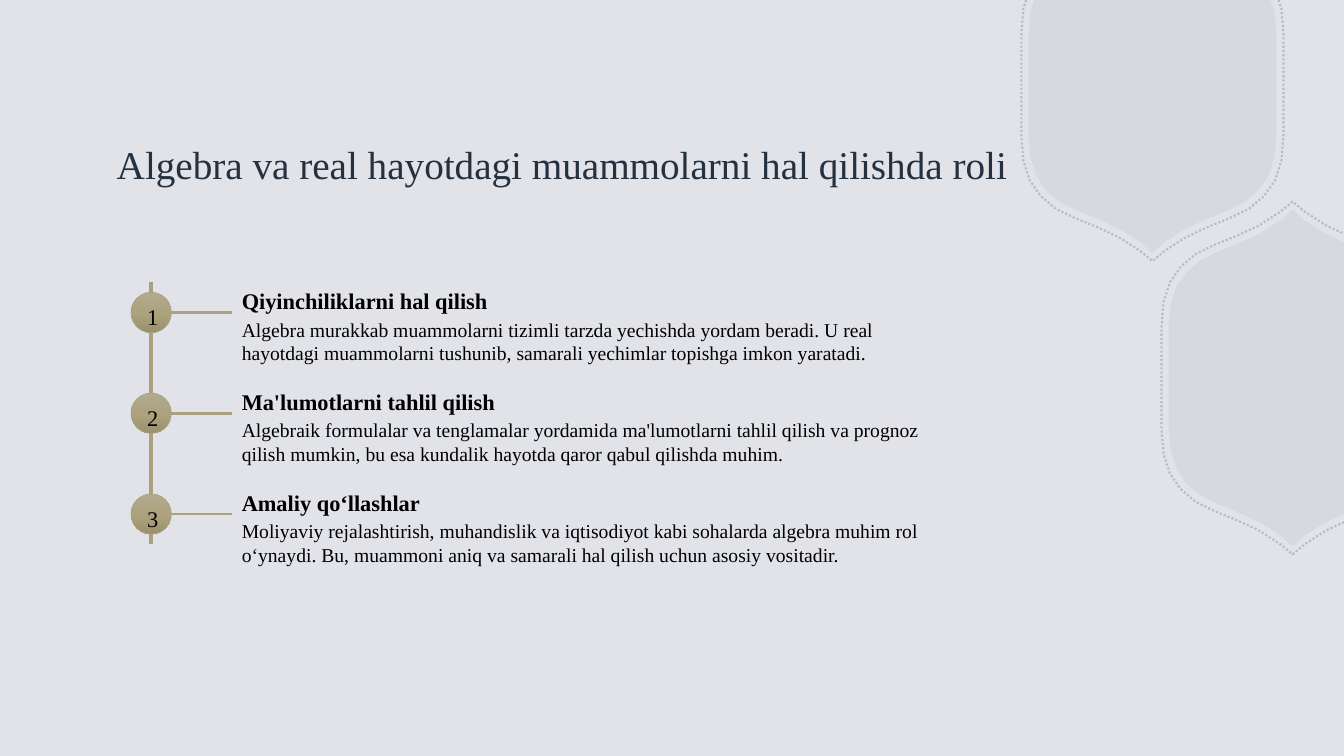
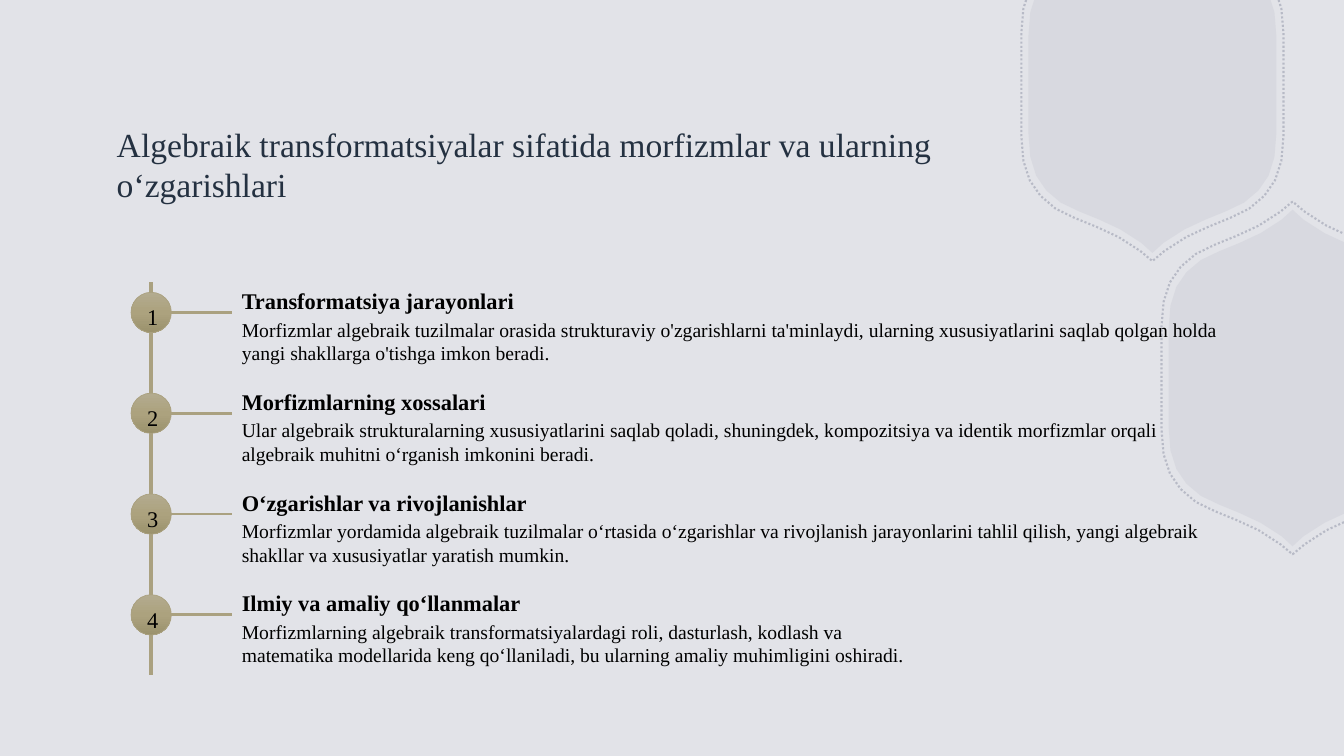
from copy import deepcopy
from pptx import Presentation
from pptx.dml.color import RGBColor
from pptx.enum.dml import MSO_LINE
from pptx.enum.shapes import MSO_CONNECTOR, MSO_SHAPE
from pptx.enum.text import MSO_ANCHOR
from pptx.oxml.ns import qn
from pptx.util import Inches, Pt
from lxml.etree import SubElement

PAPER = RGBColor(0xE2, 0xE3, 0xE8)
MIST = RGBColor(0xA2, 0xA5, 0xB5)
NAVY = RGBColor(0x24, 0x31, 0x41)
BLACK = RGBColor(0, 0, 0)
SAND = RGBColor(0xAA, 0xA1, 0x80)
SHADES = [RGBColor(0xB3, 0xAB, 0x8F), RGBColor(0xAC, 0xA2, 0x7E), RGBColor(0x9B, 0x92, 0x6D)]
FONT = "Times New Roman"
WIDE, HIGH = 13.33, 7.5
STEPS = 4

BADGES = [(11.43, 0.84), (12.82, 3.75)]
INNER = [(0, 1.67), (0.11, 1.57), (0.38, 1.36), (0.68, 1.3), (0.91, 1.17),
         (1.13, 1.02), (1.23, 0.84), (1.23, 0.48)]
OUTER = [(0, 1.75), (0.12, 1.65), (0.4, 1.43), (0.72, 1.37), (0.96, 1.23),
         (1.19, 1.07), (1.3, 0.88), (1.3, 0.51)]

PAGES = [
    ("Algebra va real hayotdagi muammolarni hal qilishda roli", 28, 5.4, [
        ("Qiyinchiliklarni hal qilish", 7,
         "Algebra murakkab muammolarni tizimli tarzda yechishda yordam beradi. U real "
         "hayotdagi muammolarni tushunib, samarali yechimlar topishga imkon yaratadi."),
        ("Ma'lumotlarni tahlil qilish", 7,
         "Algebraik formulalar va tenglamalar yordamida ma'lumotlarni tahlil qilish va prognoz "
         "qilish mumkin, bu esa kundalik hayotda qaror qabul qilishda muhim."),
        ("Amaliy qo‘llashlar", 7,
         "Moliyaviy rejalashtirish, muhandislik va iqtisodiyot kabi sohalarda algebra muhim rol "
         "o‘ynaydi. Bu, muammoni aniq va samarali hal qilish uchun asosiy vositadir."),
    ]),
    ("Algebraik transformatsiyalar sifatida morfizmlar va ularning o‘zgarishlari", 24, 6.7, [
        ("Transformatsiya jarayonlari", 10,
         "Morfizmlar algebraik tuzilmalar orasida strukturaviy o'zgarishlarni ta'minlaydi, ularning "
         "xususiyatlarini saqlab qolgan holda yangi shakllarga o'tishga imkon beradi."),
        ("Morfizmlarning xossalari", 10,
         "Ular algebraik strukturalarning xususiyatlarini saqlab qoladi, shuningdek, kompozitsiya va "
         "identik morfizmlar orqali algebraik muhitni o‘rganish imkonini beradi."),
        ("O‘zgarishlar va rivojlanishlar", 10,
         "Morfizmlar yordamida algebraik tuzilmalar o‘rtasida o‘zgarishlar va rivojlanish jarayonlarini "
         "tahlil qilish, yangi algebraik shakllar va xususiyatlar yaratish mumkin."),
        ("Ilmiy va amaliy qo‘llanmalar", 7,
         "Morfizmlarning algebraik transformatsiyalardagi roli, dasturlash, kodlash va "
         "matematika modellarida keng qo‘llaniladi, bu ularning amaliy muhimligini oshiradi."),
    ]),
]


def write(shapes, box, text, size, color=BLACK, bold=False):
    frame = shapes.add_textbox(*map(Inches, box)).text_frame
    frame.word_wrap = True
    run = frame.paragraphs[0].add_run()
    run.text = text
    run.font.name = FONT
    run.font.size = Pt(size)
    run.font.bold = bold
    run.font.color.rgb = color
    return frame


def rule(shapes, start, end, width):
    line = shapes.add_connector(MSO_CONNECTOR.STRAIGHT, *map(Inches, start + end))
    line.line.color.rgb = SAND
    line.line.width = Pt(width)
    SubElement(line._element.spPr, qn("a:effectLst"))


outlines = []
for knots, solid in ((INNER, True), (OUTER, False)):
    arc = knots[:2]
    for i in (1, 4):
        a, b, c, d = knots[i:i + 4]
        for n in range(1, STEPS + 1):
            t = n / STEPS
            u = 1 - t
            arc = arc + [tuple(u**3 * p + 3 * u * u * t * q + 3 * u * t * t * r + t**3 * s
                               for p, q, r, s in zip(a, b, c, d))]
    loop = []
    for sx, sy, way in ((1, -1, 1), (1, 1, -1), (-1, 1, 1), (-1, -1, -1)):
        loop += [(sx * x, sy * y) for x, y in arc[::way]]
    turn = STEPS + 1
    loop = loop[turn:] + loop[:turn]
    for cx, cy in BADGES:
        ring = [(cx + x, cy + y) for x, y in loop]
        points = []
        for p, q in zip(ring, ring[1:] + ring[:1]):
            near, far = [min(y, WIDE - x) for x, y in (p, q)]
            if near * far < 0:
                t = near / (near - far)
                points.append((p[0] + t * (q[0] - p[0]), p[1] + t * (q[1] - p[1])))
            if far >= 0 and p != q:
                points.append(q)
        outlines.append((solid, [(Inches(x), Inches(y)) for x, y in points]))

prs = Presentation()
prs.slide_width, prs.slide_height = Inches(WIDE), Inches(HIGH)
paper = prs.slide_master.background.fill
paper.solid()
paper.fore_color.rgb = PAPER

for title, size, foot, items in PAGES:
    shapes = prs.slides.add_slide(prs.slide_layouts[6]).shapes

    for solid, points in outlines:
        pen = shapes.build_freeform(*points[0])
        pen.add_line_segments(points[1:], close=solid)
        badge = pen.convert_to_shape()
        badge.shadow.inherit = False
        if solid:
            badge.fill.solid()
            badge.fill.fore_color.rgb = MIST
            badge.line.fill.background()
        else:
            badge.fill.background()
            badge.line.color.rgb = MIST
            badge.line.width = Pt(1.5)
            badge.line.dash_style = MSO_LINE.ROUND_DOT
        tint = badge._element.spPr.xpath(".//a:srgbClr")[0]
        SubElement(tint, qn("a:alpha")).set("val", "15000" if solid else "65000")

    head = write(shapes, (1.06, 1.05, 9.93, 1.16), title, size, NAVY)
    head.vertical_anchor = MSO_ANCHOR.MIDDLE

    rule(shapes, (1.5, 2.8), (1.5, foot), 3)
    for i, (topic, width, body) in enumerate(items):
        mid = 3.1 + i
        rule(shapes, (1.5, mid), (2.3, mid), 2)

        disc = shapes.add_shape(MSO_SHAPE.OVAL, Inches(1.3), Inches(mid - 0.2), Inches(0.4), Inches(0.4))
        disc.shadow.inherit = False
        disc.line.color.rgb = SAND
        disc.line.width = Pt(0.5)
        disc.fill.gradient()
        disc.fill.gradient_angle = 270
        stops = disc._element.spPr.xpath(".//a:gsLst")[0]
        stops.insert(1, deepcopy(stops[0]))
        for n, stop in enumerate(disc.fill.gradient_stops):
            stop.position = n / 2
            stop.color.rgb = SHADES[n]

        write(shapes, (1.36, mid - 0.14, 0.28, 0.28), str(i + 1), 16)
        write(shapes, (2.3, mid - 0.3, 7, 0.3), topic, 16, bold=True)
        write(shapes, (2.3, mid, width, 1), body, 14)

prs.save("out.pptx")
